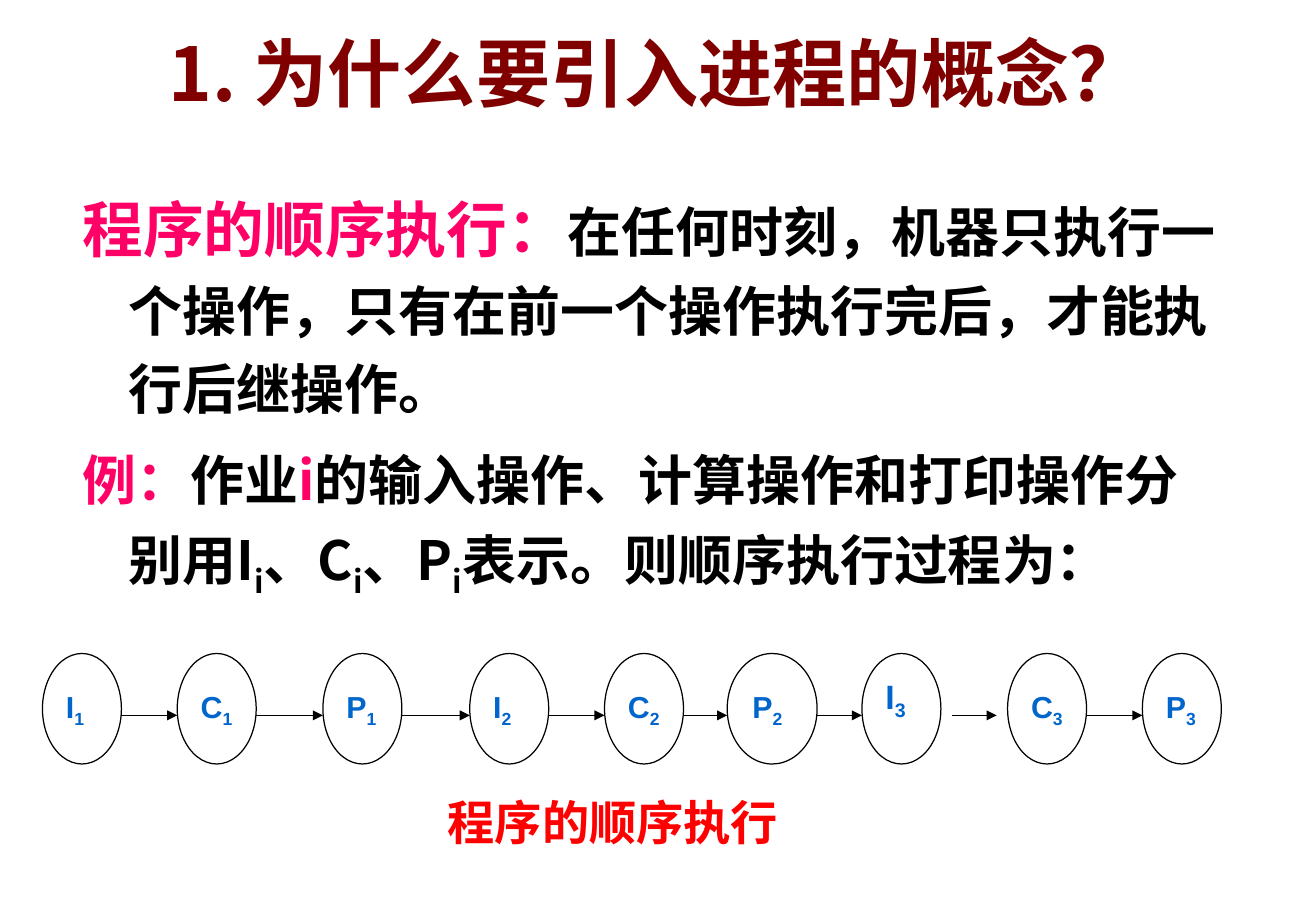
from lxml import etree
from pptx import Presentation
from pptx import util as u
from pptx.dml.color import RGBColor
from pptx.enum import shapes, text
from pptx.oxml.ns import qn

SLIDE_W, SLIDE_H = u.Inches(10.84), u.Inches(7.5)
CJK = "Noto Sans CJK SC"
COLORS = {"title": "800000", "accent": "FF0066", "body": "000000",
          "line": "000000", "node": "0066CC", "caption": "FF0000",
          "shadow": "404040"}
HANG = u.Inches(0.38)

NODE_TOP, NODE_W, NODE_H = 71.73, 6, 12.13
WIDE_NODE_W = 6.83
ARROW_Y, ARROW_INSET = 78.53, 0.83
STEPS = [("I", "1", 3.23), ("C", "1", 13.47), ("P", "1", 24.54),
         ("I", "2", 35.7), ("C", "2", 45.94), ("P", "2", 55.26),
         ("I", "3", 65.5), ("C", "3", 76.57), ("P", "3", 86.81)]

DEFINITION = [
    ("程序的顺序执行：", "accent", 36, "Arial", False),
    ("在任何时刻，机器只执行一个操作，只有在前一个操作执行完后，才能执行后继操作。",
     "body", 32, CJK, False),
]
EXAMPLE = [(words, color, 32, CJK, sub) for words, color, sub in [
    ("例：", "accent", False),
    ("作业", "body", False),
    ("i", "accent", False),
    ("的输入操作、计算操作和打印操作分别用I", "body", False),
    ("i", "body", True),
    ("、C", "body", False),
    ("i", "body", True),
    ("、P", "body", False),
    ("i", "body", True),
    ("表示。则顺序执行过程为：", "body", False),
]]


def across(percent):
    return round(SLIDE_W * percent / 100)


def down(percent):
    return round(SLIDE_H * percent / 100)


def area(left, top, width, height):
    return across(left), down(top), across(width), down(height)


def rgb(name):
    return RGBColor.from_string(COLORS[name])


def format_run(r, color, size, face, sub=False):
    r.font.size = u.Pt(size)
    r.font.bold = True
    r.font.color.rgb = rgb(color)
    r.font.name = face
    props = r._r.get_or_add_rPr()
    props.find(qn("a:latin")).addnext(
        etree.Element(qn("a:ea"), typeface=CJK))
    if sub:
        props.set("baseline", "-25000")


def add_runs(p, runs):
    for words, *style in runs:
        r = p.add_run()
        r.text = words
        format_run(r, *style)


def hang(p):
    props = p._p.get_or_add_pPr()
    props.set("marL", str(HANG))
    props.set("indent", str(-HANG))


def set_title(s):
    sp = s.shapes.title
    sp.left, sp.top, sp.width, sp.height = area(5.35, 0, 89.11, 15.73)
    tf = sp.text_frame
    tf.text = "1. 为什么要引入进程的概念？"
    tf.auto_size = text.MSO_AUTO_SIZE.NONE
    tf.vertical_anchor = text.MSO_ANCHOR.MIDDLE
    p = tf.paragraphs[0]
    p.alignment = text.PP_ALIGN.CENTER
    format_run(p.runs[0], "title", 44, CJK)


def add_body(s):
    tf = s.shapes.add_textbox(*area(5.35, 18.8, 89.11, 49.47)).text_frame
    tf.word_wrap = True
    for i, runs in enumerate([DEFINITION, EXAMPLE]):
        p = tf.add_paragraph() if i else tf.paragraphs[0]
        hang(p)
        p.line_spacing = 1.2
        p.space_before = u.Pt(8 if i else 0)
        add_runs(p, runs)


def add_node(s, letter, number, left, width):
    sp = s.shapes.add_shape(shapes.MSO_SHAPE.OVAL,
                            *area(left, NODE_TOP, width, NODE_H))
    sp.shadow.inherit = False
    sp.fill.background()
    sp.line.color.rgb = rgb("line")
    sp.line.width = u.Pt(0.75)
    raised = letter + number == "I3"
    tf = sp.text_frame
    tf.word_wrap = raised
    tf.vertical_anchor = (text.MSO_ANCHOR.TOP if raised
                          else text.MSO_ANCHOR.MIDDLE)
    p = tf.paragraphs[0]
    p.alignment = text.PP_ALIGN.LEFT
    if raised:
        hang(p)
    size = 20 if raised else 18
    add_runs(p, [(letter, "node", size, "Arial", False),
                 (number, "node", size, "Arial", True)])


def add_arrow(s, start, end):
    y = down(ARROW_Y)
    line = s.shapes.add_connector(shapes.MSO_CONNECTOR.STRAIGHT,
                                  across(start), y, across(end), y)
    line.line.color.rgb = rgb("line")
    line.line.width = u.Pt(0.75)
    etree.SubElement(line.line._get_or_add_ln(), qn("a:tailEnd"),
                     type="triangle")
    etree.SubElement(line._element.spPr, qn("a:effectLst"))


def add_sequence(s):
    end = None
    for letter, number, left in STEPS:
        name = letter + number
        width = WIDE_NODE_W if name == "P2" else NODE_W
        add_node(s, letter, number, left, width)
        if end is not None:
            inset = ARROW_INSET if name == "C3" else 0
            add_arrow(s, end + inset, left - inset)
        end = left + width


def add_caption(s):
    tf = s.shapes.add_textbox(*area(33.12, 86.4, 29.06, 7.6)).text_frame
    tf.word_wrap = True
    p = tf.paragraphs[0]
    hang(p)
    add_runs(p, [("程序的顺序执行", "caption", 28, "Times New Roman")])
    effects = etree.Element(qn("a:effectLst"))
    shadow = etree.SubElement(effects, qn("a:outerShdw"),
                              dist="17961", dir="2700000")
    etree.SubElement(shadow, qn("a:srgbClr"), val=COLORS["shadow"])
    p.runs[0]._r.rPr.find(qn("a:solidFill")).addnext(effects)


def main():
    prs = Presentation()
    prs.slide_width, prs.slide_height = SLIDE_W, SLIDE_H
    s = prs.slides.add_slide(prs.slide_layouts[5])
    set_title(s)
    add_body(s)
    add_sequence(s)
    add_caption(s)
    prs.save("out.pptx")


if __name__ == "__main__":
    main()
